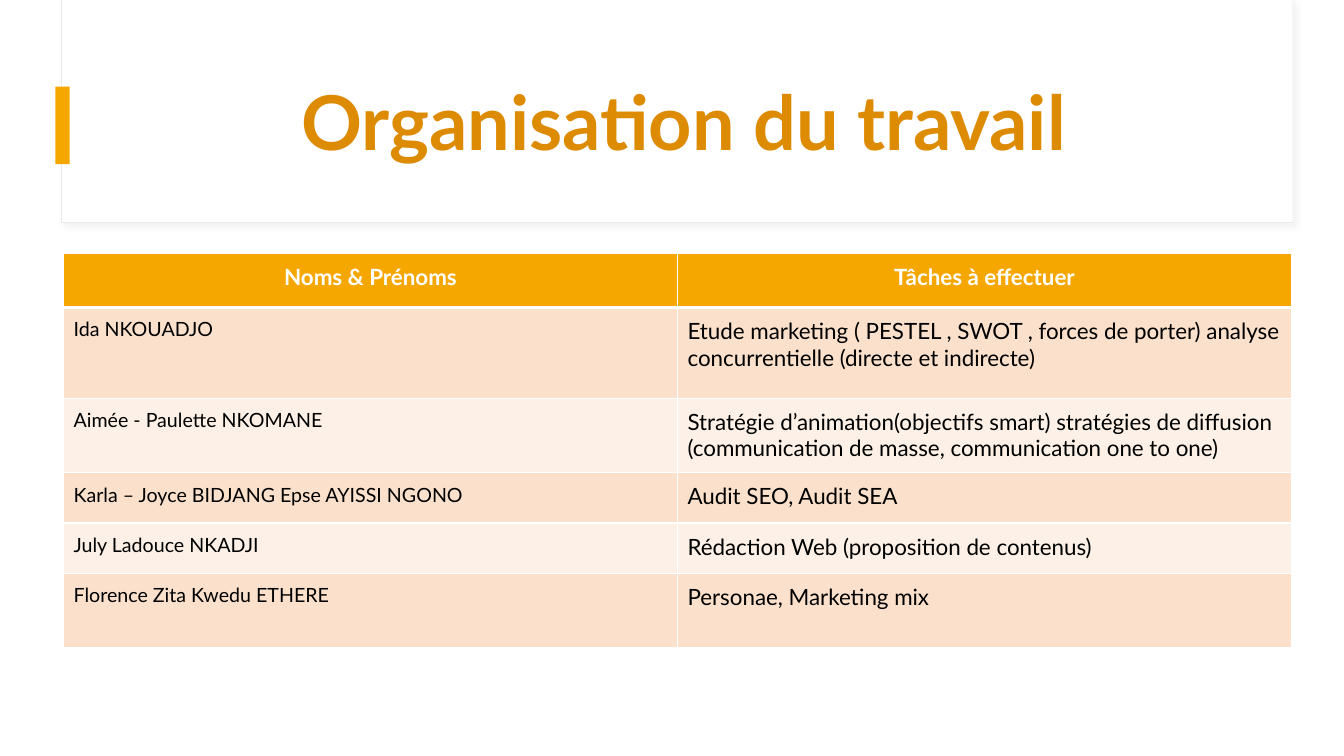
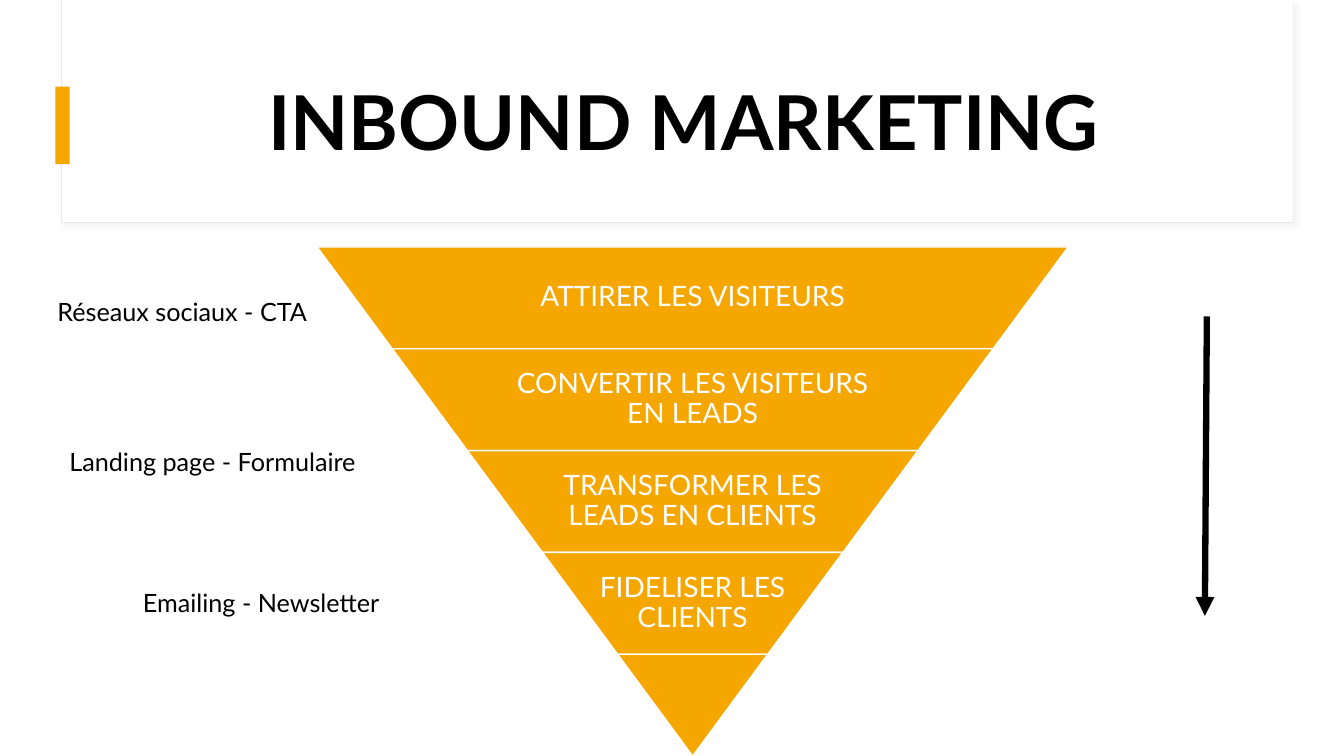
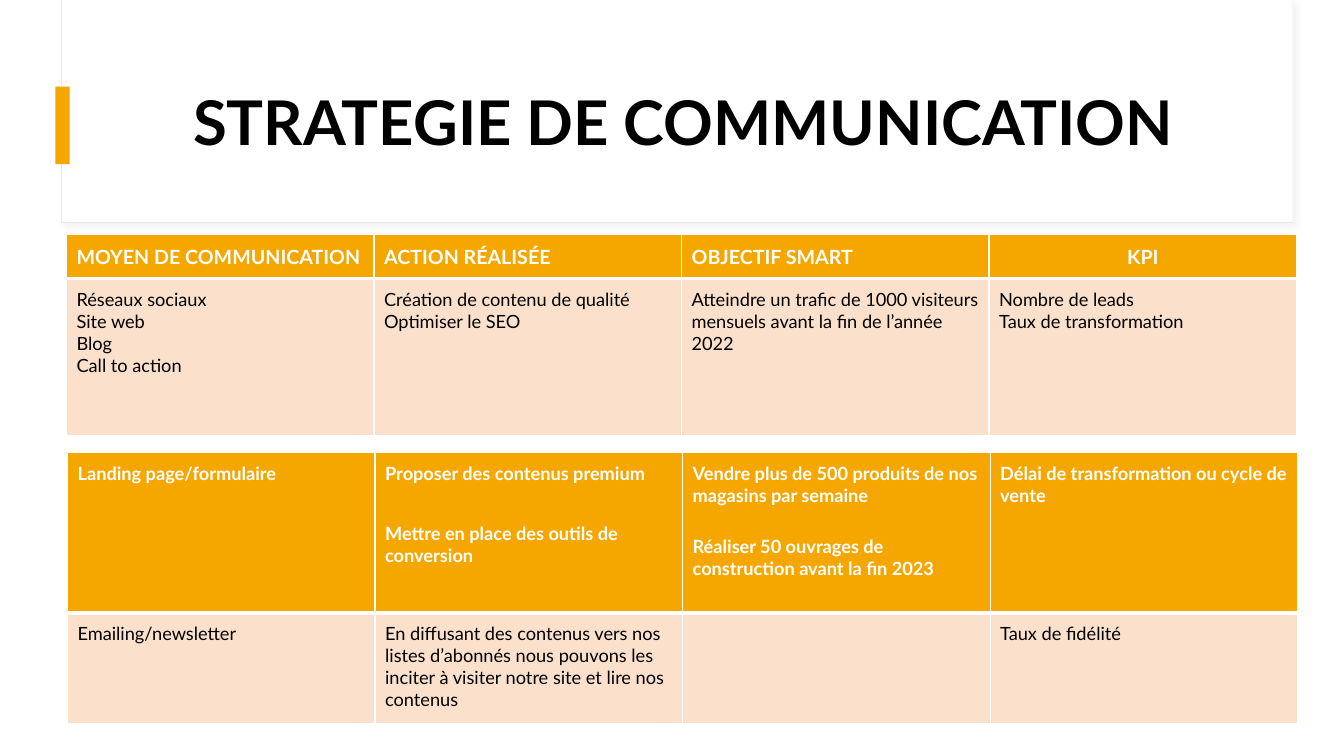
from lxml import etree
from pptx import Presentation
from pptx.dml.color import RGBColor
from pptx.enum.shapes import MSO_CONNECTOR, MSO_SHAPE
from pptx.enum.text import MSO_ANCHOR, PP_ALIGN
from pptx.oxml import parse_xml
from pptx.oxml.ns import nsdecls, qn
from pptx.util import Inches, Pt

RECTANGLE = MSO_SHAPE.RECTANGLE
TRAPEZOID = MSO_SHAPE.TRAPEZOID
STRAIGHT = MSO_CONNECTOR.STRAIGHT
LEFT = PP_ALIGN.LEFT
CENTER = PP_ALIGN.CENTER
TOP = MSO_ANCHOR.TOP
MIDDLE = MSO_ANCHOR.MIDDLE

FONT = "Lato"
COLORS = {
    "white": "FFFFFF",
    "black": "000000",
    "orange": "F5A700",
    "dark_orange": "DE8B04",
    "peach": "FBE1CC",
    "light_peach": "FDF1E7",
    "frame": "E9E9E9",
    "shadow": "D9D9D9",
}
RGB = {name: RGBColor.from_string(value) for name, value in COLORS.items()}


def add_text(slide, text, box, size, color, bold=False, alignment=LEFT,
             anchor=TOP, inset=0.1, line_spacing=1):
    shape = slide.shapes.add_textbox(*[Inches(length) for length in box])
    frame = shape.text_frame
    frame.word_wrap = True
    frame.vertical_anchor = anchor
    frame.margin_left = frame.margin_right = Inches(inset)
    frame.margin_top = frame.margin_bottom = Inches(min(inset, 0.05))
    paragraph = frame.paragraphs[0]
    paragraph.text = text
    paragraph.alignment = alignment
    paragraph.line_spacing = line_spacing
    paragraph.font.name = FONT
    paragraph.font.size = Pt(size)
    paragraph.font.bold = bold
    paragraph.font.color.rgb = RGB[color]


def add_table(slide, left, top, column_width, heights, rows, header_size,
              body_sizes, header_alignments):
    columns = len(rows[0])
    table = slide.shapes.add_table(
        len(rows), columns, Inches(left), Inches(top),
        Inches(column_width * columns), Inches(sum(heights))).table
    for column in table.columns:
        column.width = Inches(column_width)
    for row_index, texts in enumerate(rows):
        table.rows[row_index].height = Inches(heights[row_index])
        header = row_index == 0
        fill = "orange" if header else ("light_peach", "peach")[row_index % 2]
        for column_index, text in enumerate(texts):
            cell = table.cell(row_index, column_index)
            cell.margin_left = cell.margin_right = Inches(0.1)
            cell.margin_top = cell.margin_bottom = Inches(0.1)
            cell.fill.solid()
            cell.fill.fore_color.rgb = RGB[fill]
            properties = cell._tc.get_or_add_tcPr()
            for position, edge in enumerate(("lnL", "lnR", "lnT", "lnB")):
                thick = (row_index, edge) in ((0, "lnB"), (1, "lnT"))
                properties.insert(position, parse_xml(
                    f'<a:{edge} {nsdecls("a")} w="{Pt(3 if thick else 1)}"><a:solidFill>'
                    f'<a:srgbClr val="{COLORS["white"]}"/></a:solidFill></a:{edge}>'))
            frame = cell.text_frame
            for index, part in enumerate(text.split("\n\n")):
                paragraph = frame.add_paragraph() if index else frame.paragraphs[0]
                paragraph.text = part
                paragraph.alignment = header_alignments[column_index] if header else LEFT
                paragraph.font.name = FONT
                paragraph.font.size = Pt(header_size if header else body_sizes[column_index])
                paragraph.font.bold = header
                paragraph.font.color.rgb = RGB["white" if header else "black"]
    return table


presentation = Presentation()
presentation.slide_width = Inches(13.33)
presentation.slide_height = Inches(7.5)

TITLES = [
    ("Organisation du travail", 54, "dark_orange"),
    ("INBOUND MARKETING", 54, "black"),
    ("STRATEGIE DE COMMUNICATION", 44, "black"),
]
BANDS = [
    ((0.61, 0, 12.21, 2.21), "white", "frame"),
    ((0.62, 0, 12.2, 2.2), "white", None),
    ((0.55, 0.86, 0.14, 0.77), "orange", None),
]
slides = []
for title, size, color in TITLES:
    slide = presentation.slides.add_slide(presentation.slide_layouts[6])
    for box, fill, line in BANDS:
        band = slide.shapes.add_shape(RECTANGLE, *[Inches(length) for length in box])
        band.shadow.inherit = False
        band.fill.solid()
        band.fill.fore_color.rgb = RGB[fill]
        if line:
            band.line.color.rgb = RGB[line]
            band.line.width = Pt(0.75)
            band._element.spPr.find(qn("a:effectLst")).append(parse_xml(
                f'<a:outerShdw {nsdecls("a")} blurRad="{Pt(4)}" dist="{Pt(3)}" dir="2700000">'
                f'<a:srgbClr val="{COLORS["shadow"]}"><a:alpha val="30000"/></a:srgbClr>'
                '</a:outerShdw>'))
        else:
            band.line.fill.background()
    add_text(slide, title, (1.22, 0.6, 11.12, 1.29), size, color, bold=True,
             alignment=CENTER, anchor=MIDDLE, line_spacing=0.9)
    slides.append(slide)
work_slide, funnel_slide, strategy_slide = slides

TASKS = [
    ("Noms & Prénoms", "Tâches à effectuer"),
    ("Ida NKOUADJO",
     "Etude marketing ( PESTEL , SWOT , forces de porter) analyse "
     "concurrentielle (directe et indirecte)"),
    ("Aimée - Paulette NKOMANE",
     "Stratégie d’animation(objectifs smart) stratégies de diffusion "
     "(communication de masse, communication one to one)"),
    ("Karla – Joyce BIDJANG Epse AYISSI NGONO", "Audit SEO, Audit SEA"),
    ("July Ladouce NKADJI", "Rédaction Web (proposition de contenus)"),
    ("Florence Zita Kwedu ETHERE", "Personae, Marketing mix"),
]
add_table(work_slide, 0.63, 2.51, 6.09, [0.54, 0.9, 0.74, 0.5, 0.5, 0.74],
          TASKS, 16, [14, 16], [CENTER, CENTER])

STAGES = [
    "ATTIRER LES VISITEURS",
    "CONVERTIR LES VISITEURS EN LEADS",
    "TRANSFORMER LES LEADS EN CLIENTS",
    "FIDELISER LES CLIENTS",
    "",
]
FUNNEL_CENTER = 6.87
FUNNEL_TOP = 2.45
STAGE_HEIGHT = 1.01
TIP_WIDTH = 1.49
for index, text in enumerate(STAGES):
    width = TIP_WIDTH * (len(STAGES) - index)
    top = FUNNEL_TOP + STAGE_HEIGHT * index
    stage = funnel_slide.shapes.add_shape(
        TRAPEZOID, Inches(FUNNEL_CENTER - width / 2), Inches(top),
        Inches(width), Inches(STAGE_HEIGHT))
    stage.rotation = 180
    stage.adjustments[0] = TIP_WIDTH / 2 / STAGE_HEIGHT
    stage.shadow.inherit = False
    stage.fill.solid()
    stage.fill.fore_color.rgb = RGB["orange"]
    stage.line.color.rgb = RGB["white"]
    stage.line.width = Pt(1)
    if text:
        text_width = width * 0.65
        add_text(funnel_slide, text,
                 (FUNNEL_CENTER - text_width / 2, top, text_width, STAGE_HEIGHT),
                 20, "white", alignment=CENTER, anchor=MIDDLE, inset=0.03,
                 line_spacing=0.9)

CHANNELS = [
    ("Réseaux sociaux - CTA", 0.47, 2.89, 2.98),
    ("Landing page - Formulaire", 0.59, 4.38, 3.84),
    ("Emailing - Newsletter", 1.32, 5.78, 3.84),
]
for text, left, top, width in CHANNELS:
    add_text(funnel_slide, text, (left, top, width, 0.4), 18, "black")

arrow = funnel_slide.shapes.add_connector(
    STRAIGHT, Inches(11.97), Inches(3.14), Inches(11.95), Inches(6.11))
arrow.line.color.rgb = RGB["black"]
arrow.line.width = Pt(4.5)
etree.SubElement(arrow.line._get_or_add_ln(), qn("a:tailEnd"), type="triangle")
etree.SubElement(arrow._element.spPr, qn("a:effectLst"))

ATTRACTION = [
    ("MOYEN DE COMMUNICATION", "ACTION RÉALISÉE", "OBJECTIF SMART", "KPI"),
    ("Réseaux sociaux\nSite web\nBlog\nCall to action",
     "Création de contenu de qualité\nOptimiser le SEO",
     "Atteindre un trafic de 1000 visiteurs mensuels avant la fin de l’année 2022",
     "Nombre de leads\nTaux de transformation"),
]
CONVERSION = [
    ("Landing page/formulaire",
     "Proposer des contenus premium\n\nMettre en place des outils de conversion",
     "Vendre plus de 500 produits de nos magasins par semaine\n\n"
     "Réaliser 50 ouvrages de construction avant la fin 2023",
     "Délai de transformation ou cycle de vente"),
    ("Emailing/newsletter",
     "En diffusant des contenus vers nos listes d’abonnés nous pouvons les "
     "inciter à visiter notre site et lire nos contenus",
     "",
     "Taux de fidélité"),
]
add_table(strategy_slide, 0.66, 2.33, 3.05, [0.43, 1.56], ATTRACTION,
          14, [13] * 4, [LEFT, LEFT, LEFT, CENTER])
conversion_table = add_table(strategy_slide, 0.67, 4.49, 3.05, [1.59, 1.1],
                             CONVERSION, 13, [13] * 4, [LEFT] * 4)
for column_index, gap in ((1, 27), (2, 21)):
    paragraph = conversion_table.cell(0, column_index).text_frame.paragraphs[1]
    paragraph.space_before = Pt(gap)

presentation.save("out.pptx")
